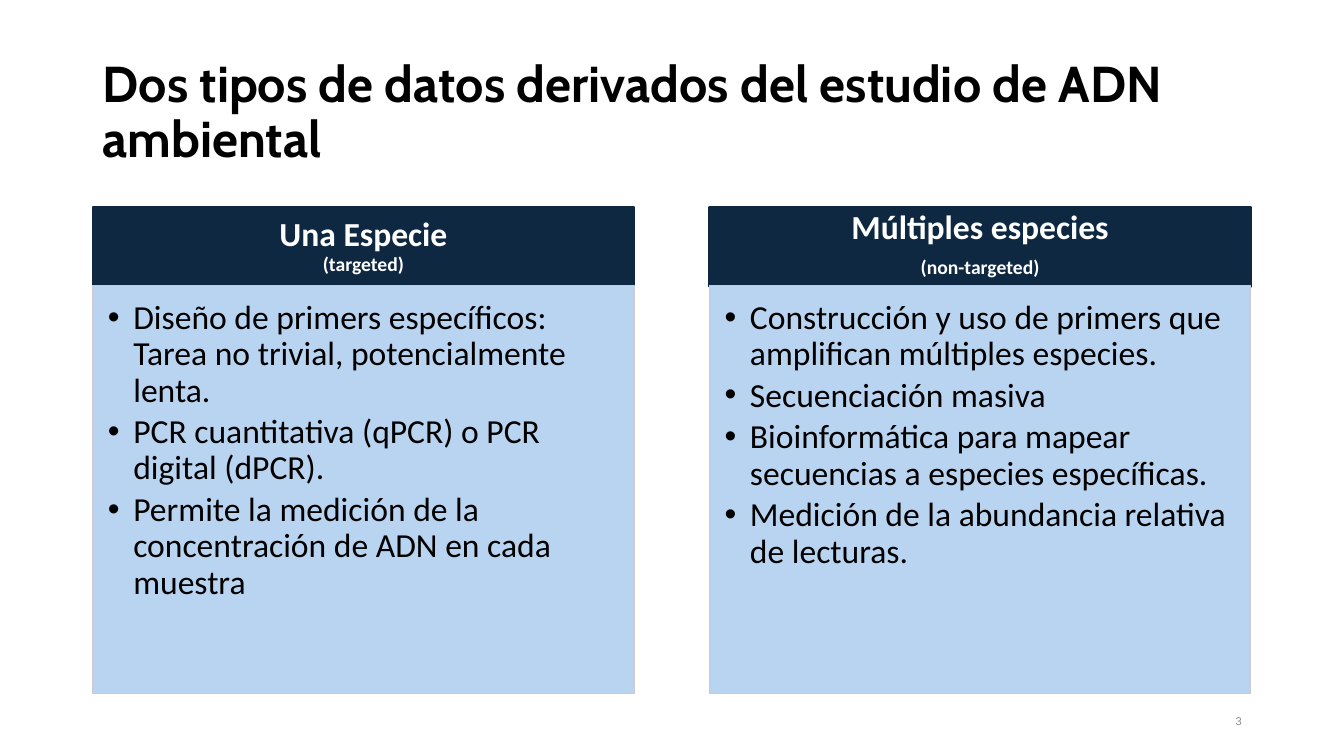
from lxml import etree
from pptx import Presentation
from pptx.dml.color import RGBColor
from pptx.enum.text import MSO_ANCHOR as Anchor, MSO_AUTO_SIZE as AutoSize, PP_ALIGN as Align
from pptx.oxml.ns import qn
from pptx.util import Cm, Pt

BLACK = RGBColor(0x00, 0x00, 0x00)
WHITE = RGBColor(0xFF, 0xFF, 0xFF)
NAVY = RGBColor(0x0E, 0x28, 0x41)
LIGHT_BLUE = RGBColor(0xB8, 0xD4, 0xF0)
BORDER_GRAY = RGBColor(0xCB, 0xCB, 0xCF)
NUMBER_GRAY = RGBColor(0x8C, 0x8C, 0x8C)

COMPARISON_LAYOUT = 4
LEFT, COLUMN_WIDTH, COLUMN_STEP = 2.34, 13.64, 15.54
HEADER_TOP, HEADER_HEIGHT = 5.21, 2.01
LIST_TOP, LIST_HEIGHT = 7.19, 10.29

# Heading, qualifier, heading line spacing, list items
COLUMNS = [
    ("Una Especie", "(targeted)", 0.9, [
        "Diseño de primers específicos: Tarea no trivial, potencialmente lenta.",
        "PCR cuantitativa (qPCR) o PCR digital (dPCR).",
        "Permite la medición de la concentración de ADN en cada muestra",
    ]),
    ("Múltiples especies", "(non-targeted)", Pt(22.4), [
        "Construcción y uso de primers que amplifican múltiples especies.",
        "Secuenciación masiva",
        "Bioinformática para mapear secuencias a especies específicas.",
        "Medición de la abundancia relativa de lecturas.",
    ]),
]


def place(shape, left, top, width, height):
    shape.left, shape.top = Cm(left), Cm(top)
    shape.width, shape.height = Cm(width), Cm(height)


def set_frame(shape, anchor, insets):
    frame = shape.text_frame
    frame.word_wrap = True
    frame.auto_size = AutoSize.NONE
    frame.vertical_anchor = anchor
    (frame.margin_left, frame.margin_top,
     frame.margin_right, frame.margin_bottom) = [Cm(inset) for inset in insets]
    return frame


def set_colors(shape, fill, line, line_width):
    shape.fill.solid()
    shape.fill.fore_color.rgb = fill
    shape.line.color.rgb = line
    shape.line.width = Pt(line_width)


def add_bullet(paragraph):
    properties = paragraph._p.get_or_add_pPr()
    properties.set("marL", str(Cm(0.64)))
    properties.set("indent", str(-Cm(0.64)))
    color = etree.SubElement(properties, qn("a:buClr"))
    etree.SubElement(color, qn("a:srgbClr"), val=str(BLACK))
    etree.SubElement(properties, qn("a:buFont"), typeface="Arial")
    etree.SubElement(properties, qn("a:buChar"), char="•")


def write_paragraph(frame, index, text, size, color, font="Calibri", bold=False,
                    align=Align.LEFT, spacing=0.9, before=0, bullet=False):
    paragraph = frame.add_paragraph() if index else frame.paragraphs[0]
    if bullet:
        paragraph.level = 1
        add_bullet(paragraph)
    paragraph.alignment = align
    paragraph.line_spacing = spacing
    paragraph.space_before = Pt(before)
    run = paragraph.add_run()
    run.text = text
    run.font.name = font
    run.font.size = Pt(size)
    run.font.bold = bold
    run.font.color.rgb = color


def fill_title(title):
    place(title, LEFT, 1.02, 29.21, 3.68)
    frame = set_frame(title, Anchor.MIDDLE, (0.25, 0.13, 0.25, 0.13))
    write_paragraph(frame, 0, "Dos tipos de datos derivados del estudio de ADN ambiental",
                    36, BLACK, font="Cabin", bold=True)


def fill_header(header, left, heading, qualifier, spacing):
    place(header, left, HEADER_TOP, COLUMN_WIDTH, HEADER_HEIGHT)
    set_colors(header, NAVY, NAVY, 1.5)
    frame = set_frame(header, Anchor.MIDDLE, (0.48, 0.28, 0.48, 0.28))
    for index, (text, size) in enumerate([(heading, 24), (qualifier, 14)]):
        write_paragraph(frame, index, text, size, WHITE, bold=True,
                        align=Align.CENTER, spacing=spacing)


def fill_list(body, left, items):
    place(body, left, LIST_TOP, COLUMN_WIDTH, LIST_HEIGHT)
    set_colors(body, LIGHT_BLUE, BORDER_GRAY, 0.75)
    frame = set_frame(body, Anchor.TOP, (0.38, 0.38, 0.48, 0.56))
    for index, item in enumerate(items):
        write_paragraph(frame, index, item, 24, BLACK,
                        before=3.8 if index else 0, bullet=True)


def add_slide_number(slide):
    box = slide.shapes.add_textbox(Cm(23.93), Cm(17.65), Cm(7.62), Cm(1.02))
    frame = set_frame(box, Anchor.MIDDLE, (0.25, 0.13, 0.25, 0.13))
    write_paragraph(frame, 0, "3", 8, NUMBER_GRAY, font="Arial",
                    align=Align.RIGHT, spacing=1.0)


def main():
    presentation = Presentation()
    presentation.slide_width, presentation.slide_height = Cm(33.87), Cm(19.05)
    slide = presentation.slides.add_slide(presentation.slide_layouts[COMPARISON_LAYOUT])

    # Title
    fill_title(slide.shapes.title)

    # Two columns, each a header over a list
    for column, (heading, qualifier, spacing, items) in enumerate(COLUMNS):
        left = LEFT + column * COLUMN_STEP
        header_index = 1 + 2 * column
        fill_header(slide.placeholders[header_index], left, heading, qualifier, spacing)
        fill_list(slide.placeholders[header_index + 1], left, items)

    # Slide number
    add_slide_number(slide)
    presentation.save("out.pptx")


if __name__ == "__main__":
    main()
